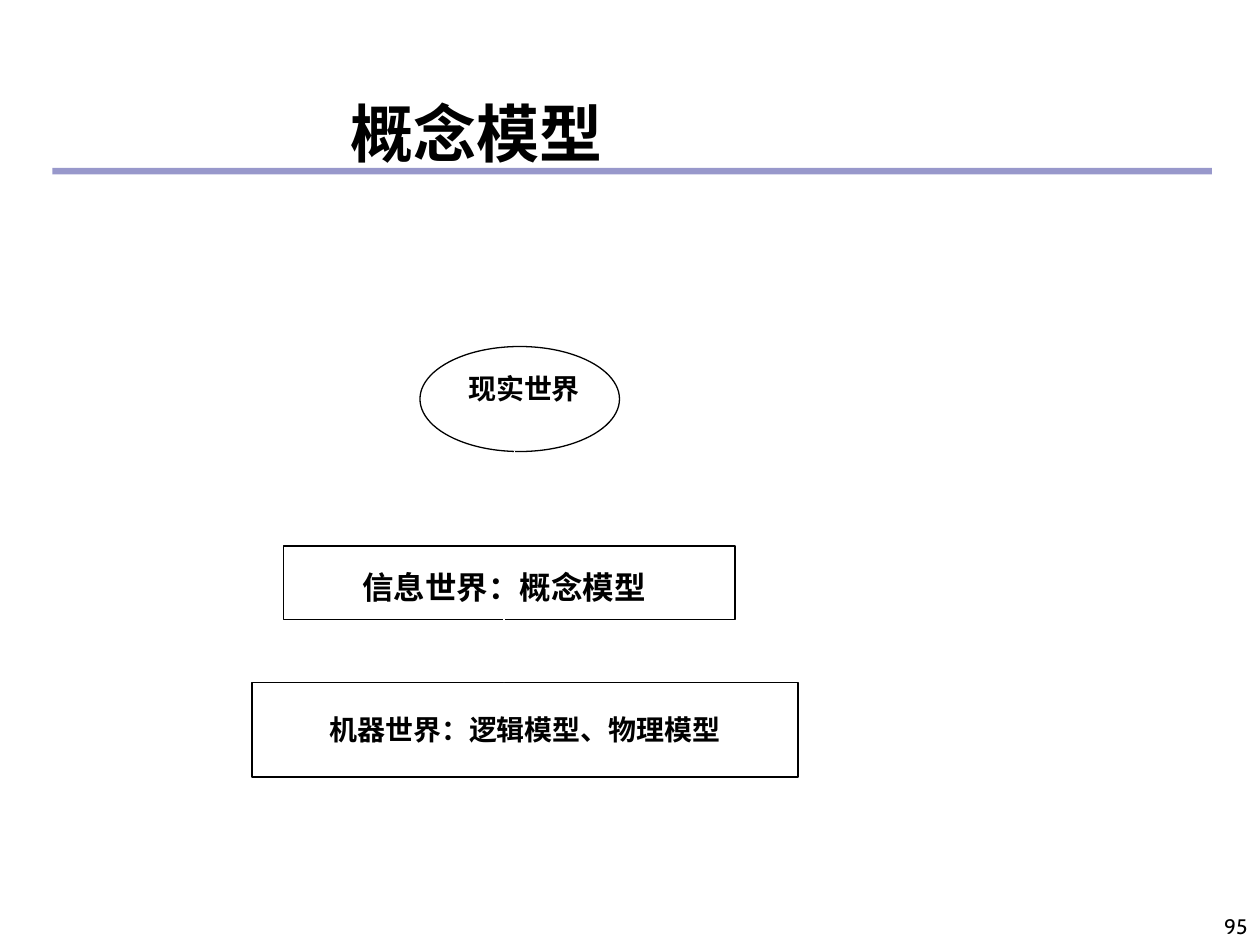
from lxml import etree
from pptx import Presentation
from pptx.dml.color import RGBColor
from pptx.enum.shapes import MSO_CONNECTOR, MSO_SHAPE
from pptx.enum.text import MSO_ANCHOR, PP_ALIGN
from pptx.oxml.ns import qn
from pptx.util import Pt

RECT, OVAL = MSO_SHAPE.RECTANGLE, MSO_SHAPE.OVAL
STRAIGHT = MSO_CONNECTOR.STRAIGHT
TOP, MIDDLE, BOTTOM = MSO_ANCHOR.TOP, MSO_ANCHOR.MIDDLE, MSO_ANCHOR.BOTTOM
LEFT, CENTER, RIGHT = PP_ALIGN.LEFT, PP_ALIGN.CENTER, PP_ALIGN.RIGHT
BLACK = RGBColor(0x00, 0x00, 0x00)
WHITE = RGBColor(0xFF, 0xFF, 0xFF)
RULE_BLUE = RGBColor(0x33, 0x33, 0x99)
SANS, SERIF = "Cabin", "Times New Roman"


def write(s, runs, size, align, anchor, bold=True):
    """Fill a shape with one line made of (text, font) runs."""
    tf = s.text_frame
    tf.word_wrap = False
    tf.vertical_anchor = anchor
    p = tf.paragraphs[0]
    p.alignment = align
    for text, font in runs:
        r = p.add_run()
        r.text = text
        r.font.name = font
        r.font.size = Pt(size)
        r.font.bold = bold
        r.font.color.rgb = BLACK


def add_label(slide, box, text, size, align, anchor, bold):
    """Add a text box with one line of text."""
    s = slide.shapes.add_textbox(*map(Pt, box))
    write(s, [(text, SANS)], size, align, anchor, bold)


def add_world(slide, kind, box, runs, size, insets=(7.2, 3.6, 7.2, 3.6)):
    """Add an outlined shape that names one of the worlds."""
    s = slide.shapes.add_shape(kind, *map(Pt, box))
    s.shadow.inherit = False
    s.fill.solid()
    s.fill.fore_color.rgb = WHITE
    s.line.color.rgb = BLACK
    s.line.width = Pt(0.75)
    write(s, runs, size, CENTER, MIDDLE)
    tf = s.text_frame
    tf.margin_left, tf.margin_top, tf.margin_right, tf.margin_bottom = map(Pt, insets)


def add_title_rule(slide):
    """Add the half-transparent bar under the title."""
    s = slide.shapes.add_shape(RECT, Pt(30), Pt(96), Pt(662.5), Pt(3.75))
    s.shadow.inherit = False
    s.fill.solid()
    s.fill.fore_color.rgb = RULE_BLUE
    s.line.fill.background()
    color = s.fill._xPr.find(".//" + qn("a:srgbClr"))
    etree.SubElement(color, qn("a:alpha"), val="50000")


def add_down_arrow(slide, x, top, bottom):
    """Add a vertical white arrow."""
    s = slide.shapes.add_connector(STRAIGHT, Pt(x), Pt(top), Pt(x), Pt(bottom))
    s.line.color.rgb = WHITE
    s.line.width = Pt(0.75)
    etree.SubElement(s.line._get_or_add_ln(), qn("a:tailEnd"), type="triangle")
    etree.SubElement(s._element.spPr, qn("a:effectLst"))


def main():
    """Build the slide and save it."""
    prs = Presentation()
    prs.slide_width, prs.slide_height = Pt(720), Pt(540)
    slide = prs.slides.add_slide(prs.slide_layouts[6])
    add_title_rule(slide)
    add_label(slide, (570, 504, 150, 36), "95", 12, RIGHT, BOTTOM, False)
    add_label(slide, (193, 50.5, 163.5, 50.5), "概念模型", 36, LEFT, TOP, True)
    add_world(slide, OVAL, (240, 198, 114, 60), [("现实世界", SERIF)], 16,
              (12.2, 3.6, 7.2, 15.6))
    add_world(slide, RECT, (162, 312, 258, 42),
              [("信息世界：", SANS), ("概念模型", SERIF)], 18, (7.2, 8.6, 13.2, 3.6))
    add_world(slide, RECT, (144, 390, 312, 54),
              [("机器世界：逻辑模型、物理模型", SANS)], 16)
    add_down_arrow(slide, 294, 258, 306)
    add_down_arrow(slide, 288, 342, 390)
    prs.save("out.pptx")


if __name__ == "__main__":
    main()
